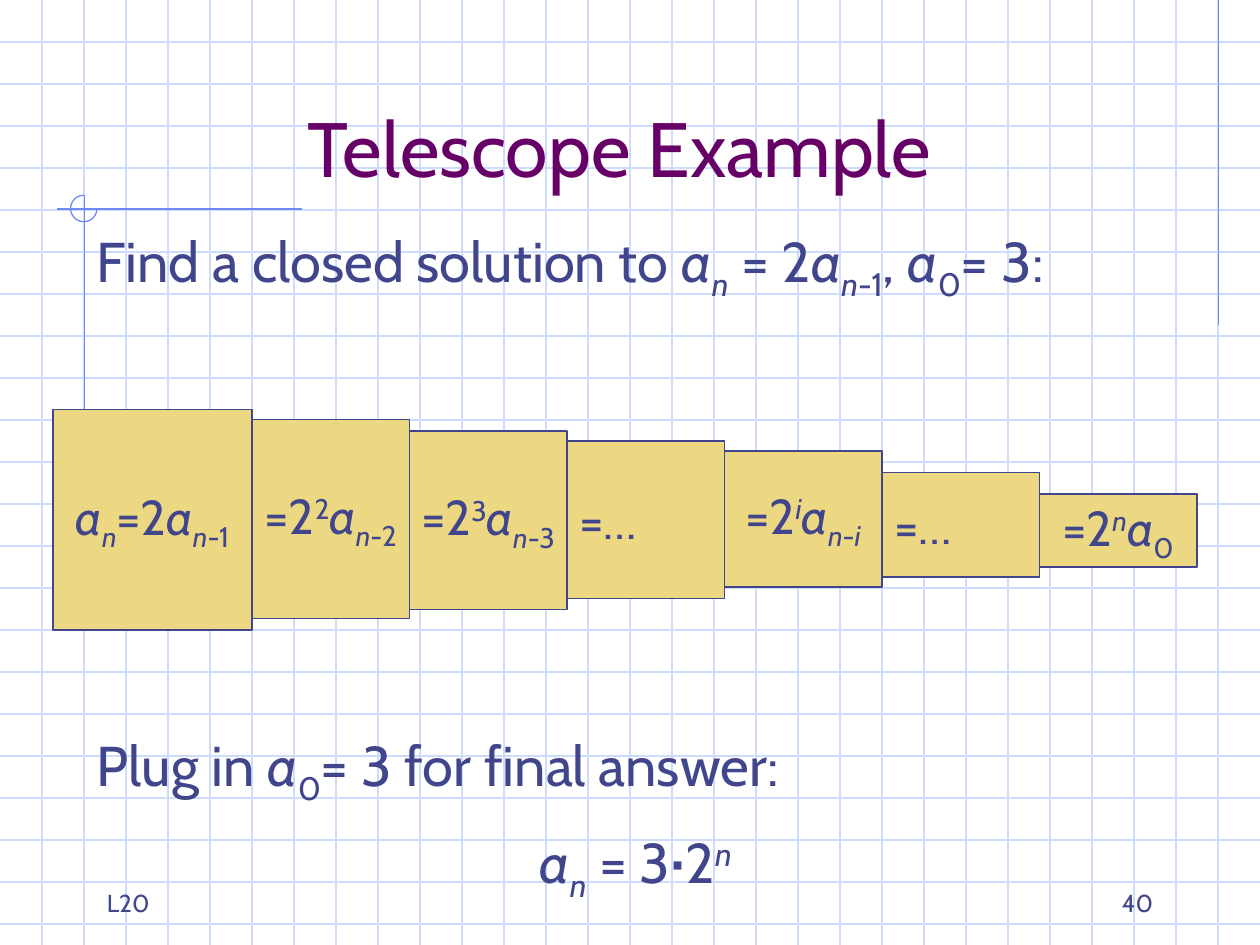
from lxml.etree import SubElement
from pptx import Presentation
from pptx.dml.color import RGBColor
from pptx.enum.shapes import MSO_CONNECTOR, MSO_SHAPE
from pptx.enum.text import MSO_ANCHOR, PP_ALIGN
from pptx.oxml.ns import qn
from pptx.util import Inches, Pt

FONT = "Cabin"
INK = "40458C"
PLUM = "660066"
GOLD = "ECD882"
GRID = "CFDBFD"
ACCENT = "6F89F7"
WIDTH, HEIGHT = 10, 7.5
BASELINES = {"sub": "-25000", "super": "30000"}

A = ("a", "italic")
SUB_N = ("n", "italic sub")
SUPER_N = ("n", "italic super")
SUB_ZERO = ("0", "sub")

QUESTION = [("Find a closed solution to ", ""), A, SUB_N, (" = 2", ""), A, SUB_N,
            ("-1", "sub"), (", ", ""), A, SUB_ZERO, ("= 3:", "")]
PLUG_IN = [("Plug in ", ""), A, SUB_ZERO, ("= 3 for final answer:", "")]
ANSWER = [A, SUB_N, (" = 3", ""), ("·", "", 36), ("2", ""), SUPER_N]

SECTIONS = [
    (1.58, 3.25, 1.75, [A, SUB_N, ("=2", ""), A, SUB_N, ("-1", "sub")]),
    (1.25, 3.33, 1.58, [("=2", ""), ("2", "super"), A, SUB_N, ("-2", "sub")]),
    (1.25, 3.42, 1.42, [("=2", ""), ("3", "super"), A, SUB_N, ("-3", "sub")]),
    (1.25, 3.5, 1.25, [("=…", "")]),
    (1.25, 3.58, 1.08, [("=2", ""), ("i", "italic super"), A, SUB_N,
                        ("-", "sub"), ("i", "italic sub")]),
    (1.25, 3.75, 0.83, [("=…", "")]),
    (1.25, 3.92, 0.58, [("=2", ""), SUPER_N, A, SUB_ZERO]),
]


def color(value):
    return RGBColor.from_string(value)


def write(para, spans, size, ink=INK, align=PP_ALIGN.LEFT, before=0):
    para.alignment = align
    para.space_before = Pt(before)
    for text, style, *special_size in spans:
        span = para.add_run()
        span.text = text
        span.font.name = FONT
        span.font.size = Pt(special_size[0] if special_size else size)
        span.font.color.rgb = color(ink)
        span.font.italic = "italic" in style
        for name, offset in BASELINES.items():
            if name in style:
                span._r.get_or_add_rPr().set("baseline", offset)


def add_line(page, x1, y1, x2, y2, ink):
    line = page.shapes.add_connector(
        MSO_CONNECTOR.STRAIGHT, Inches(x1), Inches(y1), Inches(x2), Inches(y2))
    line.line.color.rgb = color(ink)
    line.line.width = Pt(0.75)
    SubElement(line._element.spPr, qn("a:effectLst"))


def add_text(page, left, top, width, height, anchor):
    box = page.shapes.add_textbox(Inches(left), Inches(top), Inches(width), Inches(height))
    frame = box.text_frame
    frame.word_wrap = True
    frame.vertical_anchor = anchor
    return frame


def add_shape(page, kind, left, top, width, height, ink):
    shape = page.shapes.add_shape(
        kind, Inches(left), Inches(top), Inches(width), Inches(height))
    shape.shadow.inherit = False
    shape.line.color.rgb = color(ink)
    shape.line.width = Pt(0.75)
    return shape


def add_backdrop(page):
    for step in range(1, 23):
        add_line(page, 0, step / 3, WIDTH, step / 3, GRID)
    for step in range(1, 30):
        add_line(page, step / 3, 0, step / 3, HEIGHT, GRID)
    add_line(page, 9.67, 0, 9.67, 2.58, ACCENT)
    add_line(page, 2.4, 1.66, 0.45, 1.66, ACCENT)
    add_line(page, 0.67, 1.55, 0.67, 4.09, ACCENT)
    arc = add_shape(page, MSO_SHAPE.ARC, 0.56, 1.55, 0.21, 0.21, ACCENT)
    arc.fill.background()
    arc.adjustments[0] = 0
    arc.adjustments[1] = 270 * 0.6


def add_telescope(page):
    left = 0.42
    for width, top, height, spans in SECTIONS:
        section = add_shape(page, MSO_SHAPE.RECTANGLE, left, top, width, height, INK)
        section.fill.solid()
        section.fill.fore_color.rgb = color(GOLD)
        frame = section.text_frame
        frame.word_wrap = False
        frame.vertical_anchor = MSO_ANCHOR.MIDDLE
        align = PP_ALIGN.CENTER if len(spans) > 1 else PP_ALIGN.LEFT
        write(frame.paragraphs[0], spans, 28, align=align)
        left += width


def main():
    deck = Presentation()
    deck.slide_width, deck.slide_height = Inches(WIDTH), Inches(HEIGHT)
    page = deck.slides.add_slide(deck.slide_layouts[6])
    add_backdrop(page)

    title = add_text(page, 0.67, 0.33, 8.5, 1.25, MSO_ANCHOR.BOTTOM)
    write(title.paragraphs[0], [("Telescope Example", "")], 44, PLUM, PP_ALIGN.CENTER)

    body = add_text(page, 0.67, 1.75, 8.75, 5.42, MSO_ANCHOR.TOP)
    write(body.paragraphs[0], QUESTION, 32, before=8)
    write(body.add_paragraph(), PLUG_IN, 32, before=244)
    write(body.add_paragraph(), ANSWER, 32, align=PP_ALIGN.CENTER, before=8)

    add_telescope(page)

    for left, text, align in [(7.17, "40", PP_ALIGN.RIGHT), (0.75, "L20", PP_ALIGN.LEFT)]:
        footer = add_text(page, left, 6.83, 2.08, 0.5, MSO_ANCHOR.BOTTOM)
        write(footer.paragraphs[0], [(text, "")], 14, align=align)

    deck.save("out.pptx")


if __name__ == "__main__":
    main()
